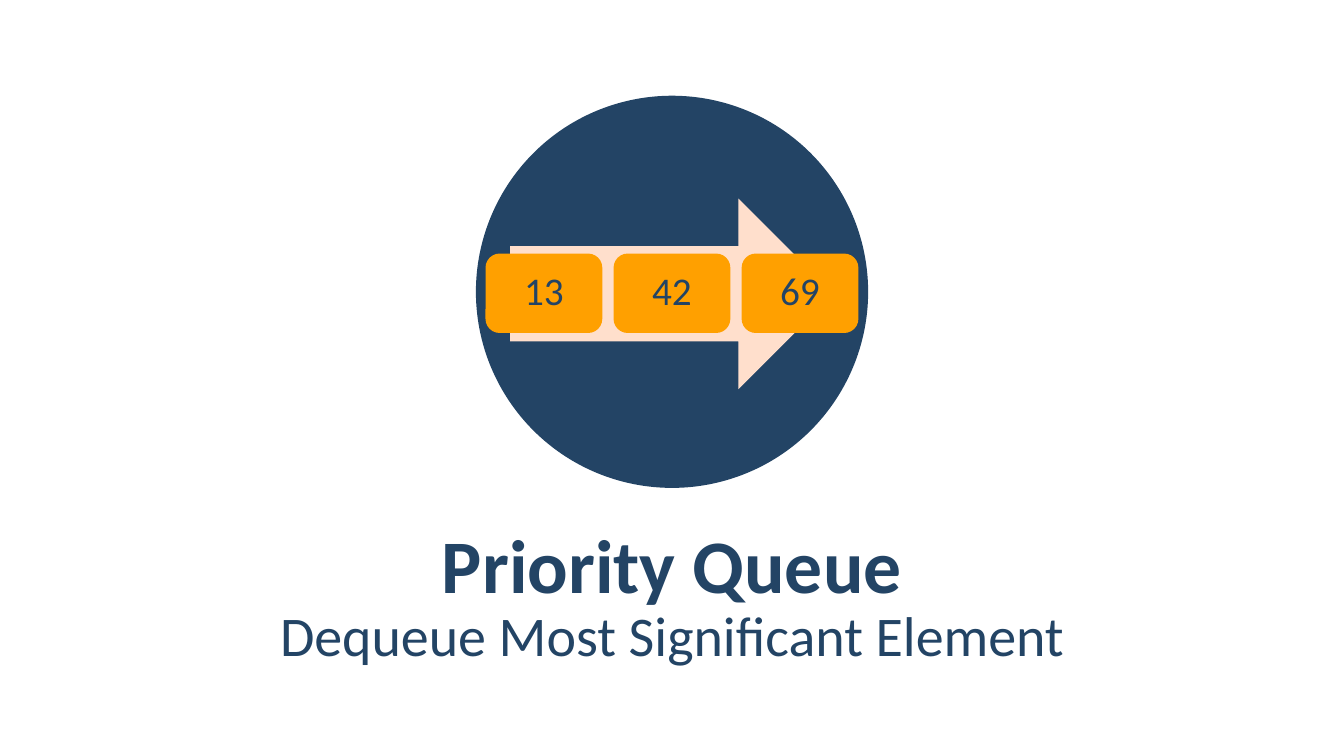
from pptx import Presentation
from pptx.dml.color import RGBColor
from pptx.enum.shapes import MSO_SHAPE
from pptx.enum.text import MSO_ANCHOR, PP_ALIGN
from pptx.util import Inches, Pt

ELLIPSE = MSO_SHAPE.OVAL
ARROW = MSO_SHAPE.RIGHT_ARROW
ROUNDED = MSO_SHAPE.ROUNDED_RECTANGLE
MIDDLE = MSO_ANCHOR.MIDDLE
CENTER = PP_ALIGN.CENTER

NAVY, PEACH, ORANGE = "234465", "FFDFCC", "FFA000"
FONT = "Calibri"


def color(hex_string):
    return RGBColor.from_string(hex_string)


def add_filled(slide, kind, box, fill, line_width=0):
    shape = slide.shapes.add_shape(kind, *map(Inches, box))
    shape.shadow.inherit = False
    shape.fill.solid()
    shape.fill.fore_color.rgb = color(fill)
    if line_width:
        shape.line.color.rgb = color(fill)
        shape.line.width = Pt(line_width)
    else:
        shape.line.fill.background()
    return shape


def write(shape, text, size, bold=False, line_spacing=1.05, inset=0.04):
    frame = shape.text_frame
    frame.word_wrap = True
    frame.vertical_anchor = MIDDLE
    frame.margin_left = frame.margin_right = Inches(0.12)
    frame.margin_top = frame.margin_bottom = Inches(inset)
    frame.text = text
    para = frame.paragraphs[0]
    para.alignment = CENTER
    para.line_spacing = line_spacing
    font = para.runs[0].font
    font.name, font.size, font.bold = FONT, Pt(size), bold
    font.color.rgb = color(NAVY)


def add_queue(slide, left, top, size, values):
    """Circle with an arrow and a row of queued values."""
    add_filled(slide, ELLIPSE, (left, top, size, size), NAVY)
    add_filled(slide, ARROW, (left + 0.34, top + 1.02, 3.21, 1.89), PEACH)
    # Queue elements at an equal pitch
    pitch = 1.27
    for index, value in enumerate(values):
        box = (left + 0.11 + index * pitch, top + 1.58, 1.13, 0.76)
        element = add_filled(slide, ROUNDED, box, ORANGE, 2)
        write(element, value, 28, line_spacing=0.9, inset=0.12)


def add_heading(slide, left, top, width, title, subtitle):
    """Title with a subtitle below it."""
    lines = ((title, 0, 0.84, 54, True), (subtitle, 0.85, 0.55, 40, False))
    for text, offset, height, size, bold in lines:
        box = (left, top + offset, width, height)
        write(slide.shapes.add_textbox(*map(Inches, box)), text, size, bold)


def main():
    deck = Presentation()
    deck.slide_width, deck.slide_height = Inches(13.33), Inches(7.5)
    slide = deck.slides.add_slide(deck.slide_layouts[6])
    add_queue(slide, 4.72, 0.95, 3.89, ("13", "42", "69"))
    add_heading(slide, 0.67, 5.15, 11.99, "Priority Queue",
                "Dequeue Most Significant Element")
    deck.save("out.pptx")


if __name__ == "__main__":
    main()
